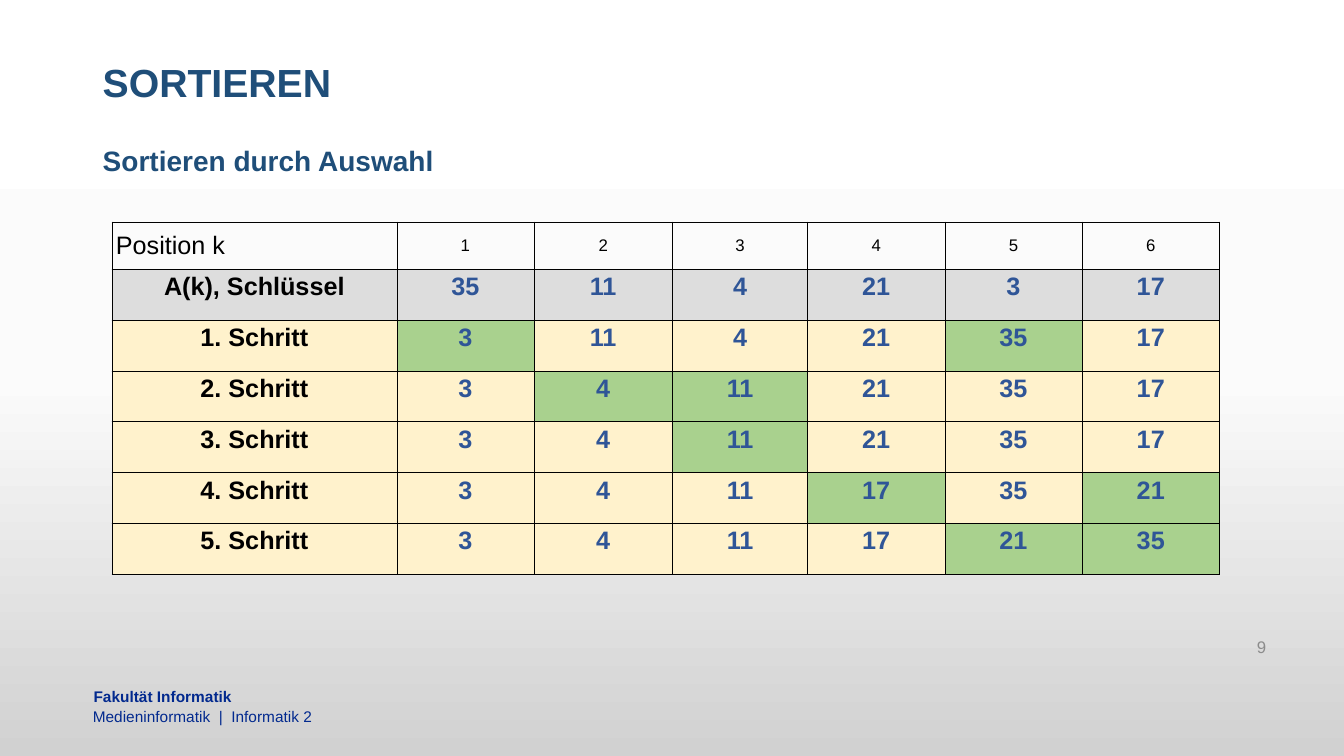
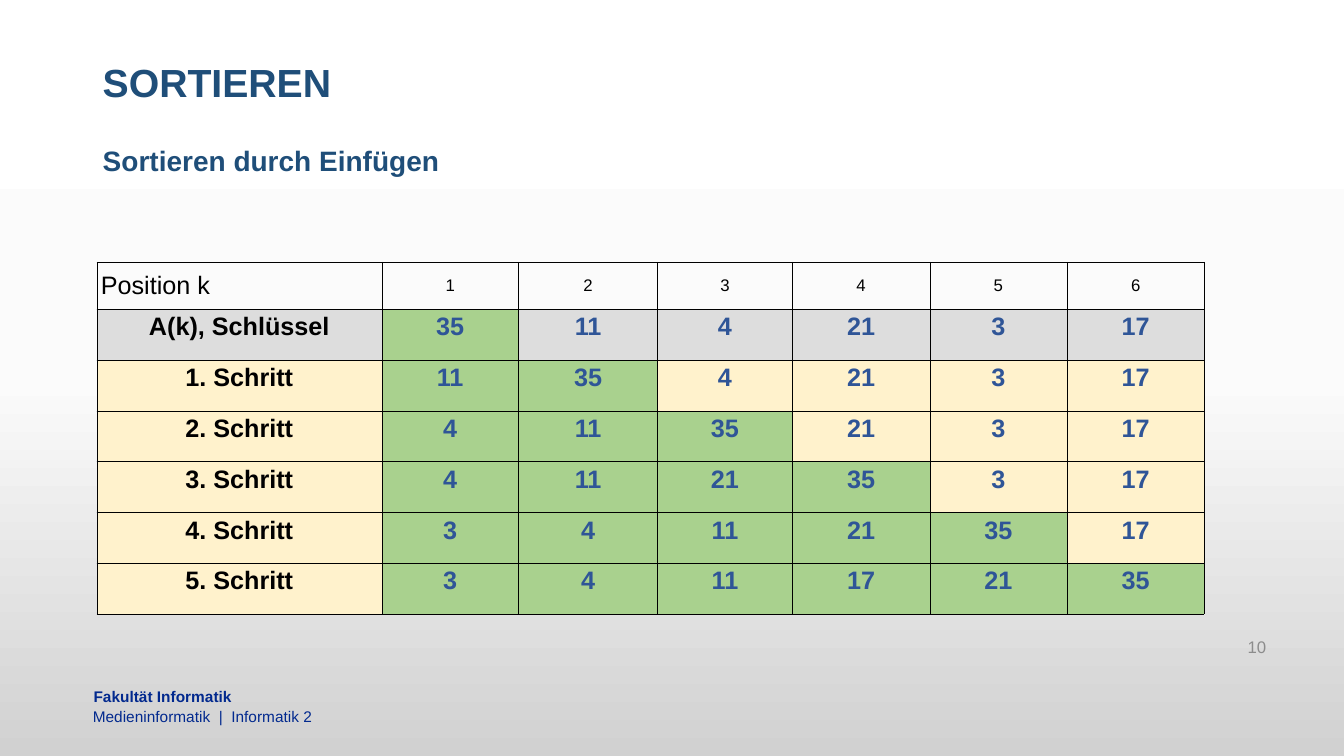
"""Builds two slides that trace selection sort and insertion sort step by step."""
from copy import deepcopy

from lxml import etree
from pptx import Presentation
from pptx.dml.color import RGBColor
from pptx.enum.text import MSO_ANCHOR, PP_ALIGN
from pptx.oxml.ns import qn
from pptx.util import Cm, Pt

LEFT, CENTER, RIGHT = PP_ALIGN.LEFT, PP_ALIGN.CENTER, PP_ALIGN.RIGHT
TOP, MIDDLE = MSO_ANCHOR.TOP, MSO_ANCHOR.MIDDLE

FONT = "Arial"
COLORS = {
    "title": "1F4E79",
    "footer": "02298E",
    "page": "8C8C8C",
    "text": "000000",
    "value": "2F5597",
    "keys": "DDDDDD",
    "step": "FFF2CC",
    "changed": "A9D18E",
}
BACKGROUND_STOPS = [(0, "FFFFFF"), (0.5, "FBFBFB"), (1, "D1D1D1")]

FORMATS = {
    "title": {"size": Pt(28), "bold": True, "color": "title"},
    "subtitle": {"size": Pt(20), "bold": True, "color": "title"},
    "page": {"size": Pt(12), "bold": False, "color": "page"},
    "faculty": {"size": Pt(11), "bold": True, "color": "footer"},
    "course": {"size": Pt(11), "bold": False, "color": "footer"},
    "position_label": {"size": Pt(18), "bold": False, "color": "text"},
    "position": {"size": Pt(12), "bold": False, "color": "text"},
    "step_label": {"size": Pt(18), "bold": True, "color": "text"},
    "value": {"size": Pt(18), "bold": True, "color": "value"},
}

KEYS = [35, 11, 4, 21, 3, 17]
COLUMN_WIDTHS = [7.18, 3.45, 3.5, 3.4, 3.46, 3.46, 3.46]
HEADER_HEIGHT = 1.19
ROW_HEIGHT = 1.28
CELL_MARGIN = 0.1


def set_attributes(target, values):
    for name, value in values.items():
        setattr(target, name, value)


def format_paragraph(paragraph, text, style, alignment=LEFT, line_spacing=1.0):
    set_attributes(paragraph, {"text": text, "alignment": alignment, "line_spacing": line_spacing})
    values = dict(FORMATS[style])
    color = values.pop("color")
    font = paragraph.runs[0].font
    set_attributes(font, {"name": FONT, **values})
    font.color.rgb = RGBColor.from_string(COLORS[color])


def add_text(slide, box, text, style, anchor=TOP, inset=True, **layout):
    frame = slide.shapes.add_textbox(*map(Cm, box)).text_frame
    set_attributes(frame, {"word_wrap": True, "vertical_anchor": anchor})
    if not inset:
        set_attributes(frame, dict.fromkeys(
            ("margin_left", "margin_right", "margin_top", "margin_bottom"), 0))
    format_paragraph(frame.paragraphs[0], text, style, **layout)


def set_borders(cell):
    properties = cell._tc.get_or_add_tcPr()
    for side in ("a:lnL", "a:lnR", "a:lnT", "a:lnB"):
        line = etree.SubElement(properties, qn(side), w=str(Pt(0.25)))
        fill = etree.SubElement(line, qn("a:solidFill"))
        etree.SubElement(fill, qn("a:srgbClr"), val=COLORS["text"])


def format_cell(cell, text, style, fill=None, alignment=CENTER, anchor=TOP):
    set_borders(cell)
    set_attributes(cell, dict.fromkeys(
        ("margin_left", "margin_right", "margin_top", "margin_bottom"), Cm(CELL_MARGIN)))
    cell.vertical_anchor = anchor
    if fill:
        cell.fill.solid()
        cell.fill.fore_color.rgb = RGBColor.from_string(COLORS[fill])
    else:
        cell.fill.background()
    format_paragraph(cell.text_frame.paragraphs[0], text, style, alignment)


def add_row(slide, left, top, height):
    frame = slide.shapes.add_table(1, len(COLUMN_WIDTHS), Cm(left), Cm(top),
                                   Cm(sum(COLUMN_WIDTHS)), Cm(height))
    table = frame.table
    set_attributes(table, {"first_row": False, "horz_banding": False})
    table.rows[0].height = Cm(height)
    for column, width in zip(table.columns, COLUMN_WIDTHS):
        column.width = Cm(width)
    return list(table.rows[0].cells)


def add_position_row(slide, left, top):
    label_cell, *position_cells = add_row(slide, left, top, HEADER_HEIGHT)
    format_cell(label_cell, "Position k", "position_label", alignment=LEFT, anchor=MIDDLE)
    for position, cell in enumerate(position_cells, start=1):
        format_cell(cell, str(position), "position", anchor=MIDDLE)


def add_value_row(slide, left, top, label, fill, values, changed):
    label_cell, *value_cells = add_row(slide, left, top, ROW_HEIGHT)
    format_cell(label_cell, label, "step_label", fill)
    for index, (cell, value) in enumerate(zip(value_cells, values)):
        format_cell(cell, str(value), "value", "changed" if index in changed else fill)


def selection_steps(keys):
    values = list(keys)
    yield list(values), set()
    for start in range(len(values) - 1):
        smallest = values.index(min(values[start:]), start)
        values[start], values[smallest] = values[smallest], values[start]
        yield list(values), {start, smallest}


def insertion_steps(keys):
    for count in range(1, len(keys) + 1):
        yield sorted(keys[:count]) + keys[count:], set(range(count))


def add_sorting_trace(slide, left, top, steps):
    add_position_row(slide, left, top)
    for number, (values, changed) in enumerate(steps):
        label = f"{number}. Schritt" if number else "A(k), Schlüssel"
        row_top = top + HEADER_HEIGHT + number * ROW_HEIGHT
        add_value_row(slide, left, row_top, label, "step" if number else "keys", values, changed)


def set_background(master):
    fill = master.background.fill
    fill.gradient()
    fill.gradient_angle = 270
    stop_list = master.element.find(".//" + qn("p:bg")).find(".//" + qn("a:gsLst"))
    stop_list.append(deepcopy(stop_list[-1]))
    for stop, (position, color) in zip(fill.gradient_stops, BACKGROUND_STOPS):
        stop.position = position
        stop.color.rgb = RGBColor.from_string(color)


def add_sorting_slide(presentation, subtitle, page, left, top, steps):
    slide = presentation.slides.add_slide(presentation.slide_layouts[6])
    add_text(slide, (2.36, 17.32, 21.6, 0.5), "Fakultät Informatik", "faculty", inset=False)
    add_text(slide, (2.34, 17.83, 21.6, 0.5), "Medieninformatik  |  Informatik 2", "course",
             inset=False)
    add_text(slide, (2.34, 0.89, 29.2, 2.49), "SORTIEREN", "title", MIDDLE, line_spacing=0.9)
    add_text(slide, (24.26, 15.8, 7.9, 1.02), str(page), "page", MIDDLE, alignment=RIGHT)
    add_text(slide, (2.34, 3.6, 29.2, 1.27), subtitle, "subtitle", line_spacing=0.9)
    add_sorting_trace(slide, left, top, steps)


def main():
    presentation = Presentation()
    set_attributes(presentation, {"slide_width": Cm(33.87), "slide_height": Cm(19.05)})
    set_background(presentation.slide_master)
    add_sorting_slide(presentation, "Sortieren durch Auswahl", 9, 2.82, 5.59,
                      selection_steps(KEYS))
    add_sorting_slide(presentation, "Sortieren durch Einfügen", 10, 2.44, 6.6,
                      insertion_steps(KEYS))
    presentation.save("out.pptx")


if __name__ == "__main__":
    main()
